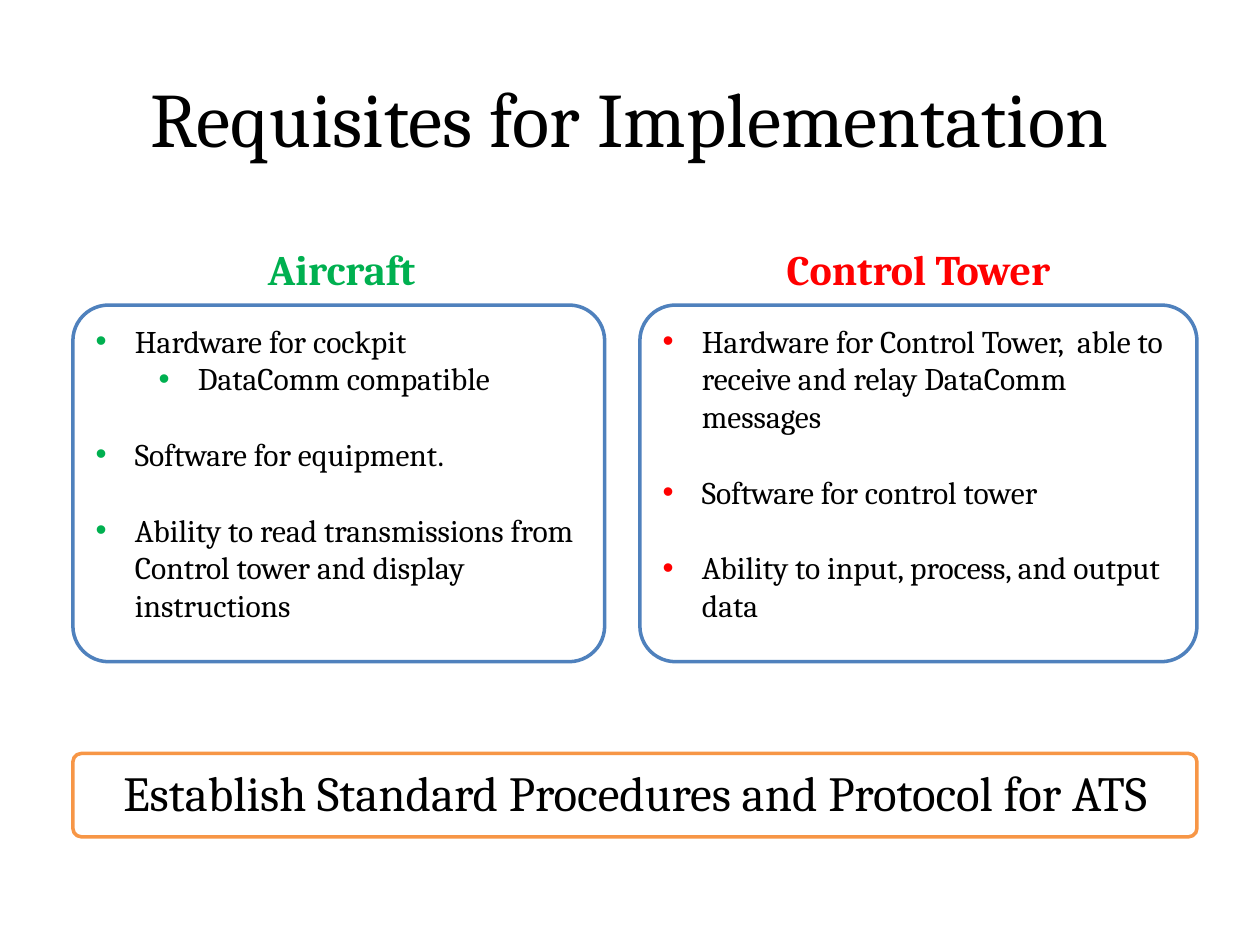
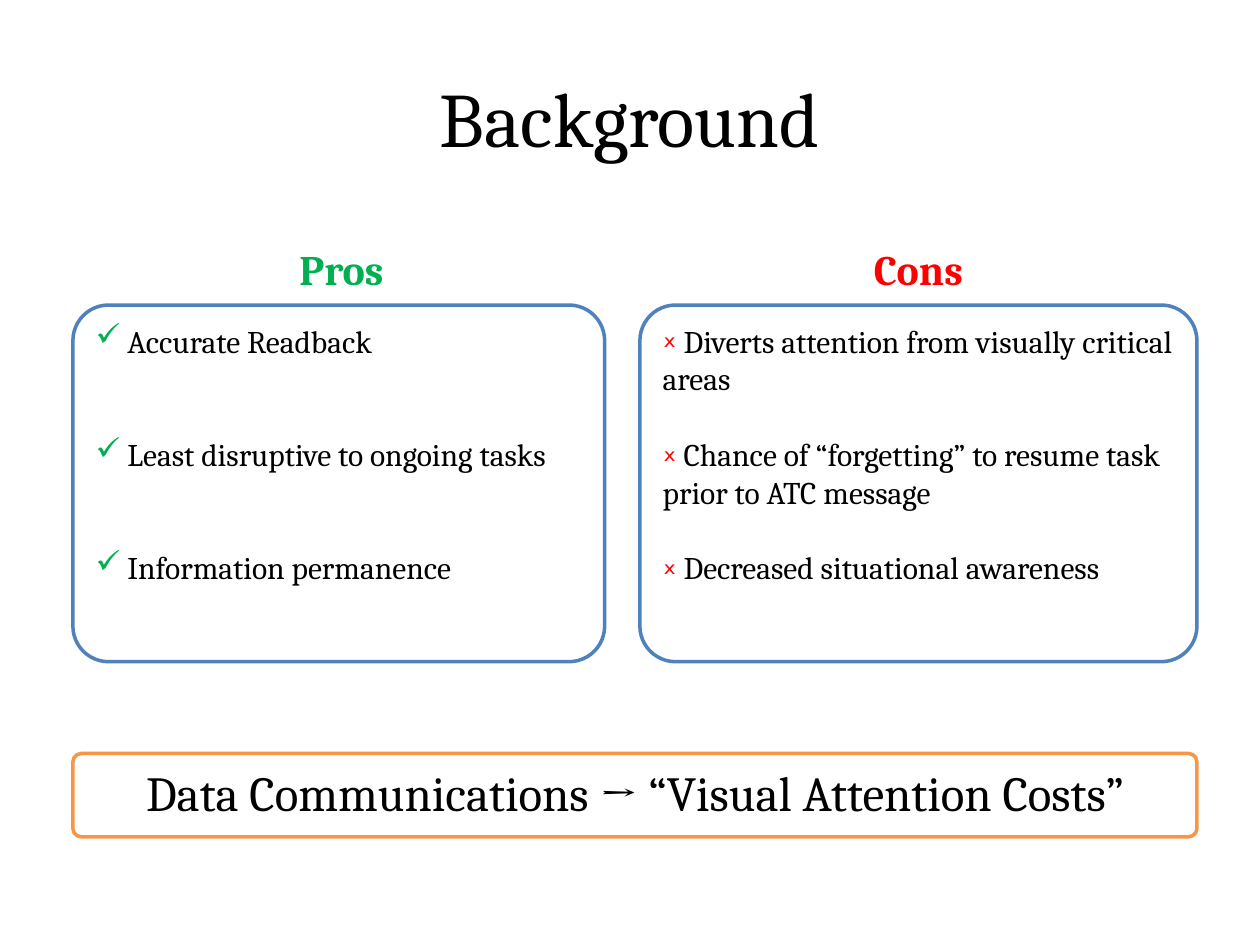
from dataclasses import dataclass

from lxml import etree
from pptx import Presentation
from pptx import util as u
from pptx.dml.color import RGBColor
from pptx.enum import shapes, text
from pptx.oxml.ns import qn


@dataclass(frozen=True)
class Theme:
    font: str = "Cambria"
    ink: str = "000000"
    paper: str = "FFFFFF"
    panel_line: str = "4F81BD"
    banner_line: str = "F79646"
    accents: tuple = ("00B050", "FF0000")
    title: int = 44
    banner: int = 28
    heading: int = 24
    body: int = 18
    body_line: float = 21.6


T = Theme()
CENTER = text.PP_ALIGN.CENTER
LEFT = text.PP_ALIGN.LEFT


def add_text(tf, content, size, color=T.ink, bold=False, align=LEFT, anchor=text.MSO_ANCHOR.TOP,
             bullet=None, bullet_color=T.ink, level=0, hanging=0, gap=0):
    """Fill the empty first paragraph of tf, or append one; gap counts body lines above it."""
    tf.word_wrap = True
    tf.vertical_anchor = anchor
    p = tf.paragraphs[0] if not tf.text else tf.add_paragraph()
    p.alignment = align
    p.level = level
    if gap:
        p.space_before = u.Pt(gap * T.body_line)
    if bullet:
        pPr = p._p.get_or_add_pPr()
        pPr.set("marL", str(u.Cm(hanging + 1.27 * level)))
        pPr.set("indent", str(-u.Cm(hanging)))
        color_el = etree.SubElement(pPr, qn("a:buClr"))
        etree.SubElement(color_el, qn("a:srgbClr"), val=bullet_color)
        if bullet == "•":
            etree.SubElement(pPr, qn("a:buFont"), typeface="Arial")
        etree.SubElement(pPr, qn("a:buChar"), char=bullet)
    r = p.add_run()
    r.text = content
    r.font.name = T.font
    r.font.size = u.Pt(size)
    r.font.bold = bold
    r.font.color.rgb = RGBColor.from_string(color)


def add_frame(s, left, top, width, height, line, fill=None):
    sp = s.shapes.add_shape(shapes.MSO_SHAPE.ROUNDED_RECTANGLE,
                            u.Cm(left), u.Cm(top), u.Cm(width), u.Cm(height))
    sp.adjustments[0] = 0.1
    sp.shadow.inherit = False
    if fill:
        sp.fill.solid()
        sp.fill.fore_color.rgb = RGBColor.from_string(fill)
    else:
        sp.fill.background()
    sp.line.color.rgb = RGBColor.from_string(line)
    sp.line.width = u.Pt(2)
    return sp.text_frame


# Heading left, panel left, panel width of the two columns
COLUMNS = [(1.27, 1.47, 10.72), (12.9, 12.9, 11.23)]

# Each column: heading, bullet, hanging indent, items as (text, level, blank lines above)
SLIDES = [
    ("Requisites for Implementation", [
        ("Aircraft", "•", 0.79, [
            ("Hardware for cockpit", 0, 0),
            ("DataComm compatible", 1, 0),
            ("Software for equipment.", 0, 1),
            ("Ability to read transmissions from Control tower and display instructions", 0, 1)]),
        ("Control Tower", "•", 0.79, [
            ("Hardware for Control Tower,  able to receive and relay DataComm messages", 0, 0),
            ("Software for control tower", 0, 1),
            ("Ability to input, process, and output data", 0, 1)]),
    ], "Establish Standard Procedures and Protocol for ATS"),
    ("Background", [
        ("Pros", "✓", 0, [
            (" Accurate Readback", 0, 0),
            (" Least disruptive to ongoing tasks", 0, 2),
            (" Information permanence", 0, 2)]),
        ("Cons", "ₓ", 0, [
            (" Diverts attention from visually critical areas", 0, 0),
            (" Chance of “forgetting” to resume task prior to ATC message", 0, 1),
            (" Decreased situational awareness", 0, 1)]),
    ], "Data Communications → “Visual Attention Costs”"),
]

prs = Presentation()
prs.slide_width, prs.slide_height = u.Cm(25.4), u.Cm(19.05)

for title, columns, banner in SLIDES:
    s = prs.slides.add_slide(prs.slide_layouts[6])
    s.background.fill.solid()
    s.background.fill.fore_color.rgb = RGBColor.from_string(T.paper)

    for (head_left, left, width), accent, column in zip(COLUMNS, T.accents, columns):
        heading, bullet, hanging, items = column
        box = s.shapes.add_textbox(u.Cm(head_left), u.Cm(4.27), u.Cm(11.23), u.Cm(1.78))
        add_text(box.text_frame, heading, T.heading, color=accent, bold=True,
                 align=CENTER, anchor=text.MSO_ANCHOR.BOTTOM)
        tf = add_frame(s, left, 6.15, width, 7.19, T.panel_line, T.paper)
        for item, level, gap in items:
            add_text(tf, item, T.body, bullet=bullet, bullet_color=accent,
                     level=level, hanging=hanging, gap=gap)

    box = s.shapes.add_textbox(u.Cm(1.27), u.Cm(0.76), u.Cm(22.86), u.Cm(3.18))
    add_text(box.text_frame, title, T.title, align=CENTER, anchor=text.MSO_ANCHOR.MIDDLE)
    tf = add_frame(s, 1.47, 15.19, 22.66, 1.68, T.banner_line)
    add_text(tf, banner, T.banner, align=CENTER)

prs.save("out.pptx")
